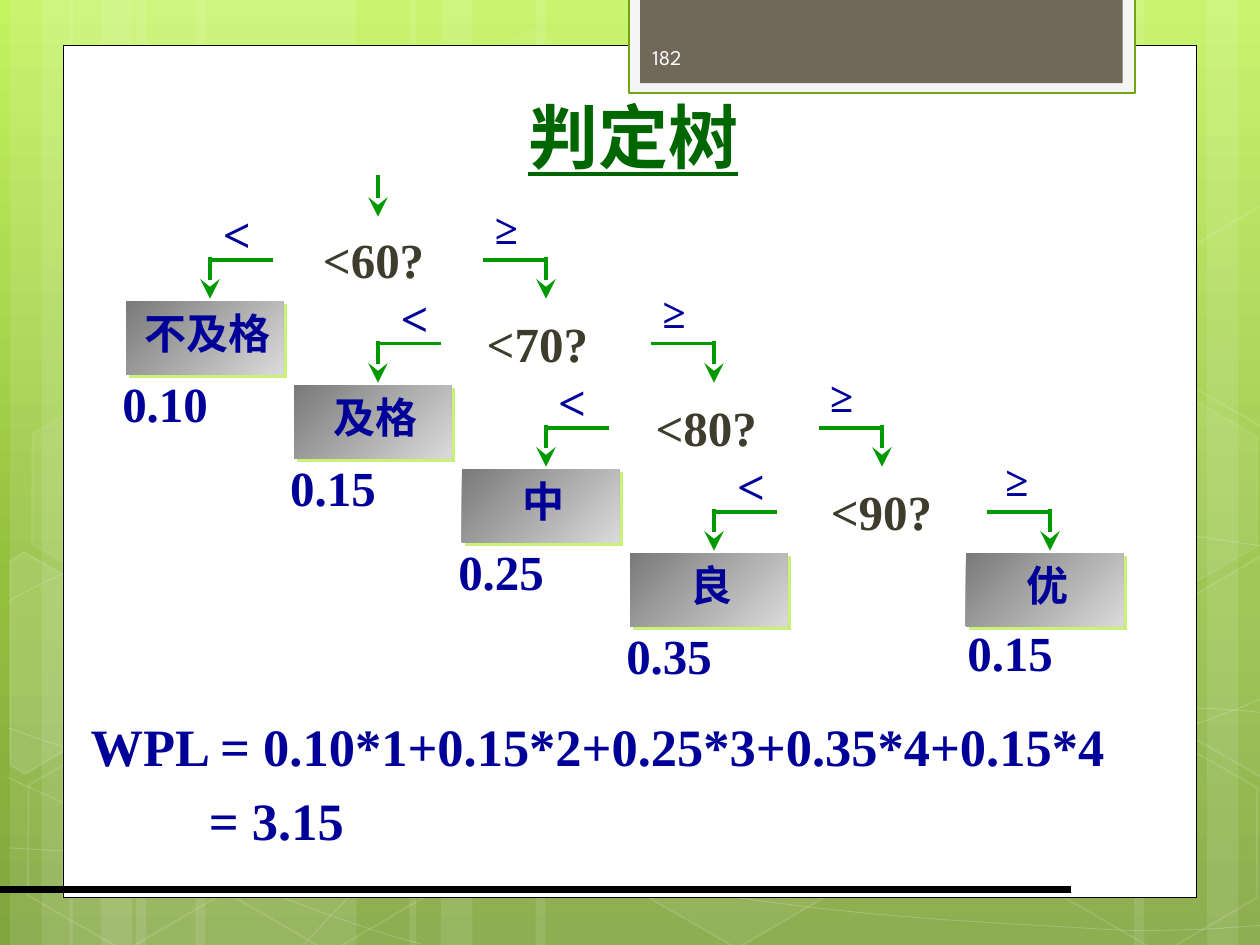
"""Decision tree slide with weighted leaves and the WPL sum."""
from copy import deepcopy
from math import cos, radians, sin

from lxml.etree import SubElement
from pptx import Presentation
from pptx.dml.color import RGBColor
from pptx.enum.shapes import MSO_CONNECTOR, MSO_SHAPE
from pptx.enum.text import MSO_ANCHOR, MSO_AUTO_SIZE, PP_ALIGN
from pptx.oxml.ns import qn
from pptx.util import Inches, Pt

THEME = {
    "bg": [(0, "C3F35F"), (0.62, "93BF3F"), (1, "81A53E")],
    "white": "FFFFFF", "black": "000000", "number": "FEFEFE",
    "tab_edge": "F5F5F5", "tab_line": "74A510", "tab": "71685A",
    "title": "006600", "arrow": "009900", "question": "3E3D2D", "value": "000099",
    "box": ("7A7A7A", "DADADA"), "box_shadow": "CAF278",
    "font": "Times New Roman", "number_font": "League Spartan",
    "title_size": 40, "sum_size": 30, "big": 28, "label": 24, "small": 12,
}

TITLE = "判定树"
NUMBER = "182"
WPL = ["WPL = 0.10*1+0.15*2+0.25*3+0.35*4+0.15*4", "= 3.15"]
QUESTIONS = [("<60?", 2.46, 1.67, 3.75), ("<70?", 3.76, 3.08, 5.08),
             ("<80?", 5.10, 4.33, 6.41), ("<90?", 6.49, 5.75, 7.80)]
LEAVES = [("不及格", "0.10", 0, 0, -0.13, 0.52), ("及格", "0.15", 1, 1, -0.13, 0.52),
          ("中", "0.25", 2, 2, -0.13, 0.52), ("良", "0.35", 3, 3, -0.13, 0.52),
          ("优", "0.15", 5, 3, -0.09, 0.5)]
STEP_X, STEP_Y = 4 / 3, 2 / 3
TILT = 30

BANDS = [(1.08, 1.75), (0.08, 0.5), (0.33, 0.83), (1.55, 1.75), (0.55, 0.5), (0.8, 0.83),
         (7.33, 1.75), (9.58, 0.5), (9, 0.83), (4.25, 3.08), (3.25, 0.5), (3.5, 0.83)]
WAVES = [
    [(0.07, 6.73), (0.61, 6.76), (1.15, 6.79), (1.9, 6.78), (2.65, 6.77), (3.58, 6.75),
     (4.58, 6.65), (5.58, 6.55), (7, 6.36), (7.92, 6.17), (8.83, 5.98), (9.77, 5.68), (10.07, 5.51)],
    [(0.07, 4.77), (0.36, 4.61), (0.65, 4.46), (1.21, 4.31), (1.78, 4.16), (2.59, 3.94),
     (3.47, 3.87), (4.36, 3.8), (5.44, 3.79), (6.54, 3.87), (7.64, 3.95), (9.47, 4.26), (10.07, 4.34)],
    [(0.06, 6.17), (1.27, 6.72), (2.47, 7.27), (3.34, 7.49)],
    [(0.07, 5.78), (0.38, 5.89), (0.7, 6), (1.28, 6.16), (1.86, 6.31), (2.73, 6.56),
     (3.57, 6.73), (4.4, 6.9), (5.45, 7.08), (6.28, 7.18), (7.11, 7.29), (8, 7.33), (8.53, 7.36),
     (9.05, 7.4), (9.19, 7.38), (9.45, 7.38), (9.71, 7.37), (9.89, 7.35), (10.07, 7.34)],
    [(2.42, 7.49), (2.6, 7.29), (2.78, 7.09), (3.02, 6.91), (3.26, 6.73), (3.6, 6.53),
     (3.88, 6.39), (4.16, 6.25), (4.33, 6.19), (4.7, 6.09), (5.06, 5.99), (5.73, 5.85),
     (6.08, 5.78), (6.44, 5.71), (6.49, 5.71), (6.8, 5.69), (7.11, 5.66), (7.6, 5.63),
     (7.94, 5.62), (8.29, 5.61), (8.86, 5.62), (8.86, 5.62), (9.1, 5.62), (9.3, 5.62),
     (9.53, 5.62), (9.71, 5.63), (9.88, 5.64), (10.06, 5.66)],
]
HEXAGONS = [(3.34, 0.36, 4, 8), (4.97, 5.89, 6, 12), (0.11, 5.91, None, 12),
            (0.14, 3.12, 7, 8), (1.74, 5.92, None, 12), (7.53, 4.53, 10, 12),
            (8.34, 5.93, None, 12), (8.34, 3.14, 7, 8)]
CUT_HEXAGONS = [
    ((0.36, 5.35), 10,
     [(0.08, 4.45), (0.19, 4.38), (0.96, 4.82), (0.95, 5.7), (0.2, 6.14), (0.08, 6.07)]),
    ((9.85, 5.2), 4,
     [(9.26, 4.85), (10.01, 4.41), (10.09, 4.46), (10.09, 6.13), (10.02, 6.17), (9.26, 5.73)]),
    ((9.85, 2.41), None,
     [(9.26, 2.07), (10.01, 1.63), (10.1, 1.68), (10.09, 3.35), (10.02, 3.39), (9.26, 2.95)]),
]


def rgb(name):
    return RGBColor.from_string(THEME.get(name, name))


def set_alpha(parent, percent):
    for clr in parent.iterchildren(qn("a:solidFill")):
        SubElement(clr[0], qn("a:alpha"), val=str(percent * 1000))


def style(sp, fill=None, fill_alpha=100, line=None, width=1, line_alpha=100):
    sp.shadow.inherit = False
    if fill:
        sp.fill.solid()
        sp.fill.fore_color.rgb = rgb(fill)
        set_alpha(sp._element.spPr, fill_alpha)
    else:
        sp.fill.background()
    if line:
        sp.line.color.rgb = rgb(line)
        sp.line.width = Pt(width)
        set_alpha(sp.line._ln, line_alpha)
    else:
        sp.line.fill.background()
    return sp


def add_shape(s, kind, x, y, w, h, **fmt):
    return style(s.shapes.add_shape(kind, Inches(x), Inches(y), Inches(w), Inches(h)), **fmt)


def add_outline(s, points, close, **fmt):
    pts = [(Inches(x), Inches(y)) for x, y in points]
    builder = s.shapes.build_freeform(*pts[0])
    builder.add_line_segments(pts[1:], close=close)
    return style(builder.convert_to_shape(), **fmt)


def add_curve(s, points, **fmt):
    sp = add_outline(s, points, False, **fmt)
    outline = next(sp._element.iter(qn("a:path")))
    segments = outline.findall(qn("a:lnTo"))
    for i in range(0, len(segments), 3):
        curve = SubElement(outline, qn("a:cubicBezTo"))
        for segment in segments[i:i + 3]:
            curve.append(segment[0])
            outline.remove(segment)


def untilt(point, center):
    dx, dy = point[0] - center[0], point[1] - center[1]
    c, d = cos(radians(TILT)), sin(radians(TILT))
    return center[0] + dx * c + dy * d, center[1] - dx * d + dy * c


def add_line(s, x1, y1, x2, y2, color="arrow", width=2.25, arrow=False):
    c = s.shapes.add_connector(MSO_CONNECTOR.STRAIGHT, *map(Inches, (x1, y1, x2, y2)))
    c.line.color.rgb = rgb(color)
    c.line.width = Pt(width)
    if arrow:
        SubElement(c.line._ln, qn("a:tailEnd"), type="stealth", w="lg", len="lg")
    SubElement(c._element.spPr, qn("a:effectLst"))


def add_text(s, text, x, y, w, h, size="big", color="value", font="font", bold=True,
             underline=None, align=PP_ALIGN.CENTER, indent=0, gap=0, sp=None):
    sp = sp or s.shapes.add_textbox(0, 0, 0, 0)
    sp.left, sp.top, sp.width, sp.height = map(Inches, (x, y, w, h))
    tf = sp.text_frame
    tf.word_wrap = False
    tf.auto_size = MSO_AUTO_SIZE.SHAPE_TO_FIT_TEXT
    tf.vertical_anchor = MSO_ANCHOR.MIDDLE
    for i, words in enumerate([text] if isinstance(text, str) else text):
        p = tf.add_paragraph() if i else tf.paragraphs[0]
        p.alignment = align
        if i:
            p.space_before = Pt(gap)
            p._p.get_or_add_pPr().set("marL", str(Inches(indent)))
        r = p.add_run()
        r.text = words
        r.font.size, r.font.name = Pt(THEME[size]), THEME[font]
        r.font.bold, r.font.underline = bold, underline
        r.font.color.rgb = rgb(color)


def add_backdrop(s):
    fill = s.background.fill
    fill.gradient()
    fill.gradient_angle = 270
    stops = next(s._element.iter(qn("a:gsLst")))
    stops.insert(1, deepcopy(stops[0]))
    for stop, (pos, color) in zip(fill.gradient_stops, THEME["bg"]):
        stop.position, stop.color.rgb = pos, rgb(color)
    for x, w in BANDS:
        add_shape(s, MSO_SHAPE.RECTANGLE, x, 0, w, 7.5, fill="white", fill_alpha=10)
    for points in WAVES:
        add_curve(s, points, line="white", width=0.5, line_alpha=20)
    for x, y, alpha, line_alpha in HEXAGONS:
        sp = add_shape(s, MSO_SHAPE.HEXAGON, x, y, 1.75, 1.52, fill=alpha and "white",
                       fill_alpha=alpha, line="white", line_alpha=line_alpha)
        sp.adjustments[0] = 0.285
        sp.rotation = TILT
    for center, alpha, points in CUT_HEXAGONS:
        sp = add_outline(s, [untilt(point, center) for point in points], True,
                         fill=alpha and "white", fill_alpha=alpha, line="white", line_alpha=12)
        sp.rotation = TILT
    add_shape(s, MSO_SHAPE.RECTANGLE, 0.5, 0.36, 9, 6.76, fill="white", line="black", width=0.5)
    add_shape(s, MSO_SHAPE.RECTANGLE, 4.99, -0.02, 4.02, 0.76, fill="tab_edge",
              line="tab_line", width=1.25)
    add_shape(s, MSO_SHAPE.RECTANGLE, 5.08, -0.02, 3.83, 0.68, fill="tab")
    add_line(s, 0, 7.06, 8.5, 7.06, color="black", width=4.5)


def add_leaf(s, label, weight, col, row, dx, dy):
    x, y = 1 + col * STEP_X, 2.39 + row * STEP_Y
    sp = add_shape(s, MSO_SHAPE.RECTANGLE, x, y, 1.25, 0.58)
    sp.fill.gradient()
    sp.fill.gradient_angle = 315
    for stop, color in zip(sp.fill.gradient_stops, THEME["box"]):
        stop.color.rgb = rgb(color)
    shadow = SubElement(sp._element.spPr.find(qn("a:effectLst")), qn("a:outerShdw"),
                        dist=str(Pt(2.8)), dir="2700000", algn="ctr", rotWithShape="0")
    SubElement(shadow, qn("a:srgbClr"), val=THEME["box_shadow"])
    w = 0.2 + 0.335 * len(label)
    add_text(s, label, x + 0.65 - w / 2, y, w, 0.5, size="label")
    add_text(s, weight, x + dx, y + dy, 0.88, 0.57)


def add_tree(s):
    add_line(s, 3, 1.39, 3, 1.72, arrow=True)
    for leaf in LEAVES:
        add_leaf(s, *leaf)
    for i, (question, x, less_x, more_x) in enumerate(QUESTIONS):
        mid, dy = 3 + i * STEP_X, i * STEP_Y
        for side in (-1, 1):
            end = mid + side * STEP_X
            add_line(s, end, 2.06 + dy, end - side * 0.5, 2.06 + dy)
            if side < 0 or i < len(QUESTIONS):
                add_line(s, end, 2.04 + dy, end, 2.37 + dy, arrow=True)
        add_text(s, question, x, 1.77 + dy, 1.01, 0.57, color="question")
        add_text(s, "<", less_x, 1.56 + dy, 0.42, 0.57)
        add_text(s, "≥", more_x, 1.56 + dy, 0.54, 0.5, size="label")


def main():
    prs = Presentation()
    prs.slide_width, prs.slide_height = Inches(10), Inches(7.5)
    s = prs.slides.add_slide(prs.slide_layouts[5])
    add_backdrop(s)
    add_text(s, NUMBER, 5.08, 0.25, 1.46, 0.4, size="small", color="number",
             font="number_font", bold=False, align=PP_ALIGN.LEFT)
    title = s.shapes.title
    s.shapes._spTree.append(title._element)
    add_text(s, TITLE, 4.09, 0.69, 1.87, 0.77, size="title_size", color="title",
             underline=True, sp=title)
    add_tree(s)
    add_text(s, WPL, 0.62, 5.61, 8.28, 1.2, size="sum_size", align=PP_ALIGN.LEFT,
             indent=0.94, gap=6)
    prs.save("out.pptx")


if __name__ == "__main__":
    main()
